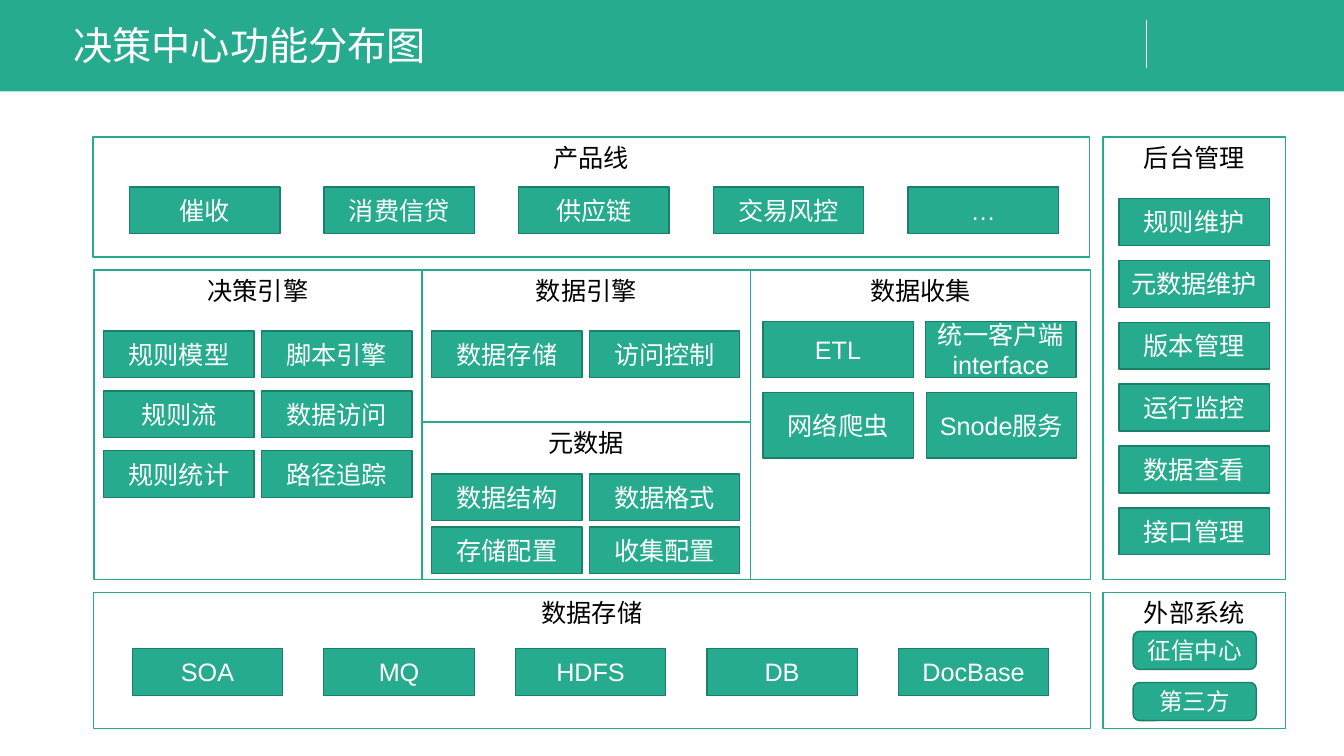
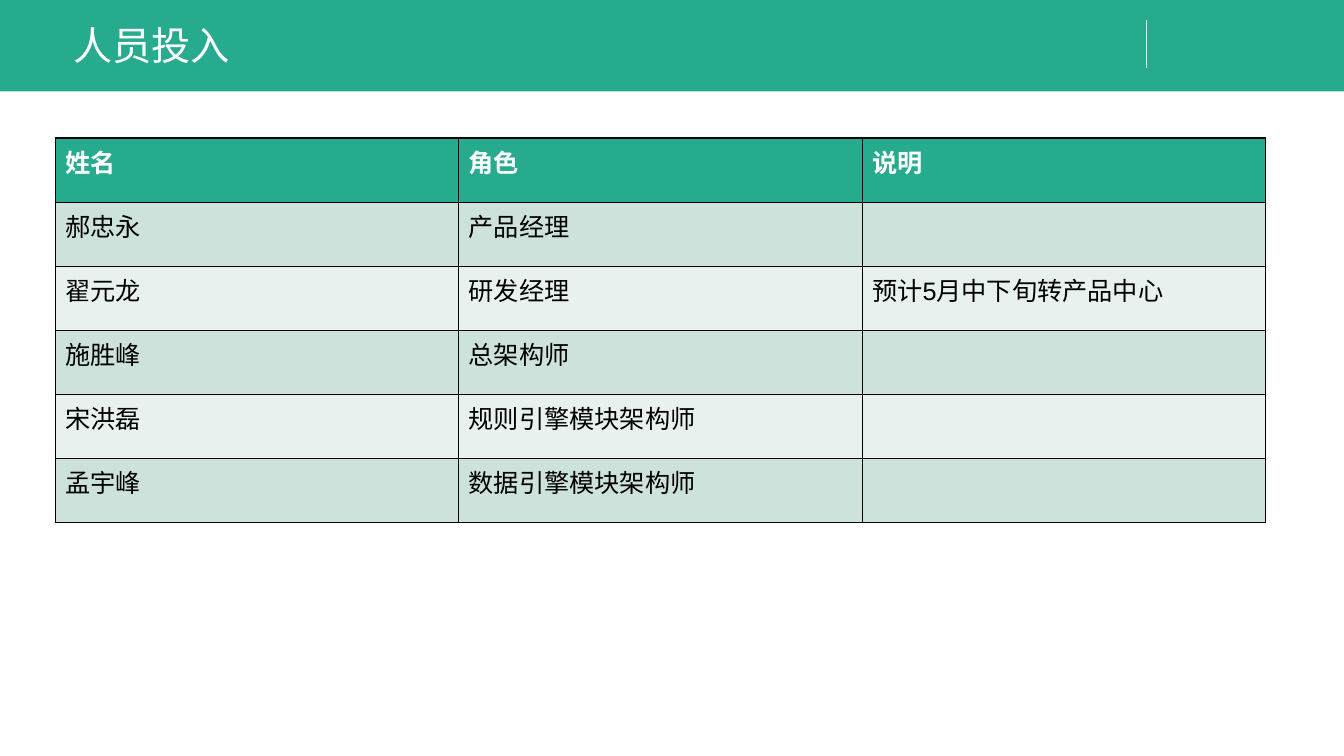
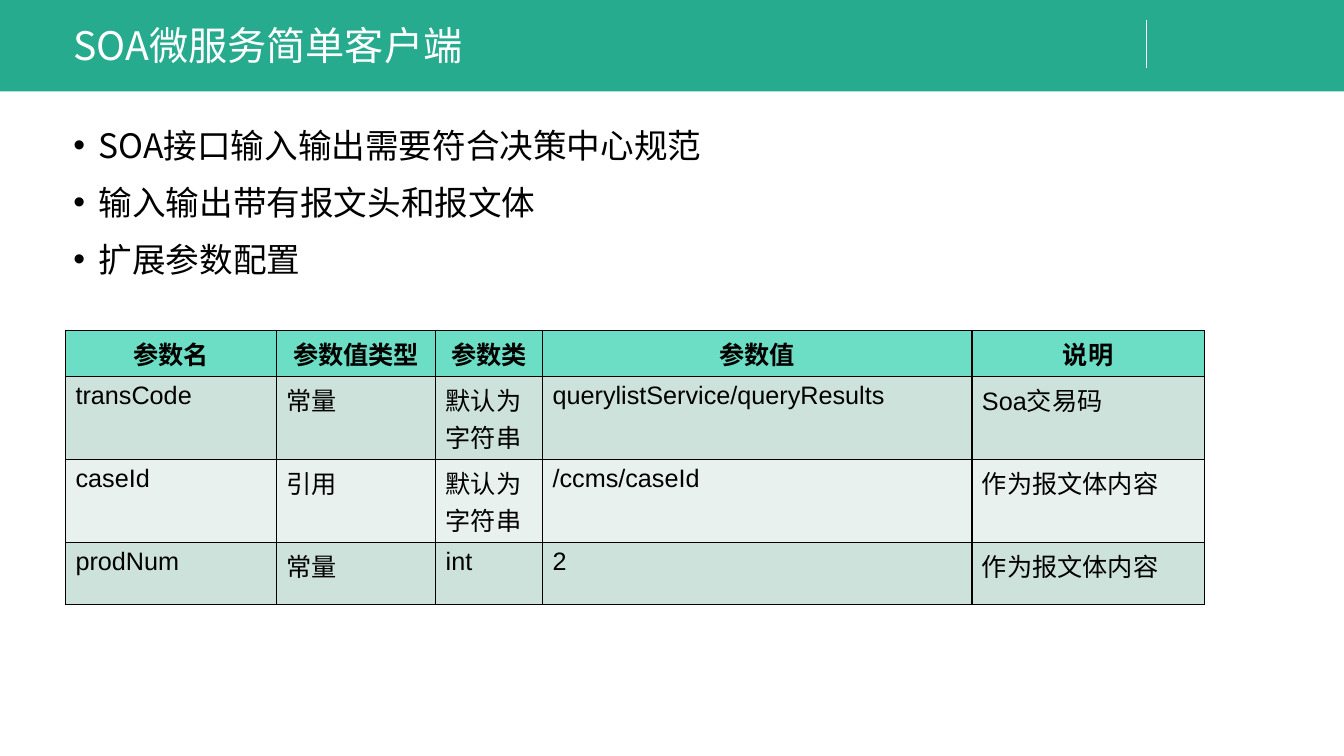
"""Build three slides on a decision centre: function map, staffing and SOA client."""
import pptx
import pptx.dml.color
import pptx.enum.shapes
import pptx.enum.text
import pptx.oxml
import pptx.util

Pt = pptx.util.Pt
RGBColor = pptx.dml.color.RGBColor
SHAPE = pptx.enum.shapes.MSO_SHAPE
ANCHOR = pptx.enum.text.MSO_ANCHOR
ALIGN = pptx.enum.text.PP_ALIGN

GREEN = RGBColor(0x26, 0xAB, 0x8E)
DARK_GREEN = RGBColor(0x1C, 0x7F, 0x69)
MINT = RGBColor(0x6B, 0xDE, 0xC5)
ROW_DARK = RGBColor(0xCD, 0xE2, 0xDB)
ROW_LIGHT = RGBColor(0xE8, 0xF1, 0xEE)
WHITE = RGBColor(0xFF, 0xFF, 0xFF)
BLACK = RGBColor(0, 0, 0)
HEADING_FONT = "Noto Sans CJK SC"
BODY_FONT = "Arial"
DRAWING = 'xmlns:a="http://schemas.openxmlformats.org/drawingml/2006/main"'


def write(frame, text, size, color, font=BODY_FONT, align=ALIGN.LEFT, bold=False):
    """Fill a text frame, one paragraph per line of text."""
    for number, line in enumerate(text.split("\n")):
        para = frame.paragraphs[0] if number == 0 else frame.add_paragraph()
        para.alignment = align
        span = para.add_run()
        span.text = line
        span.font.name = font
        span.font.size = Pt(size)
        span.font.bold = bold
        span.font.color.rgb = color
        if font == HEADING_FONT:
            span.font._element.append(pptx.oxml.parse_xml(f'<a:ea {DRAWING} typeface="{font}"/>'))


def add_table(page, left, top, widths, heights, rows, head_fill, head_color, head_align, head_anchor):
    """Add a bordered table with a coloured heading row and banded rows."""
    table = page.shapes.add_table(
        len(rows), len(widths), Pt(left), Pt(top), Pt(sum(widths)), Pt(sum(heights))
    ).table
    for column, width in zip(table.columns, widths):
        column.width = Pt(width)
    for row_number, (labels, height) in enumerate(zip(rows, heights)):
        table.rows[row_number].height = Pt(height)
        head = row_number == 0
        for column_number, label in enumerate(labels):
            cell = table.cell(row_number, column_number)
            for side in ("lnL", "lnR", "lnT", "lnB"):
                cell._tc.get_or_add_tcPr().append(pptx.oxml.parse_xml(
                    f'<a:{side} {DRAWING} w="12700"><a:solidFill>'
                    f'<a:srgbClr val="{BLACK}"/></a:solidFill></a:{side}>'
                ))
            cell.fill.solid()
            cell.fill.fore_color.rgb = head_fill if head else (ROW_LIGHT, ROW_DARK)[row_number % 2]
            cell.vertical_anchor = head_anchor if head else ANCHOR.TOP
            if label:
                write(cell.text_frame, label, 18, head_color if head else BLACK,
                      align=head_align if head else ALIGN.LEFT, bold=head)


deck = pptx.Presentation()
deck.slide_width = Pt(960)
deck.slide_height = Pt(540)

pages = []
for title in ("决策中心功能分布图", "人员投入", "SOA微服务简单客户端"):
    page = deck.slides.add_slide(deck.slide_layouts[6])
    pages.append(page)
    band = page.shapes.add_shape(SHAPE.RECTANGLE, 0, 0, deck.slide_width, Pt(65.3))
    band.shadow.inherit = False
    band.fill.solid()
    band.fill.fore_color.rgb = GREEN
    band.line.fill.background()
    divider = page.shapes.add_connector(
        pptx.enum.shapes.MSO_CONNECTOR.STRAIGHT, Pt(818.8), Pt(14.3), Pt(818.8), Pt(48.4))
    divider.line.color.rgb = WHITE
    divider.line.width = Pt(0.5)
    divider._element.spPr.append(pptx.oxml.parse_xml(f"<a:effectLst {DRAWING}/>"))
    title_box = page.shapes.add_textbox(Pt(45.4), Pt(6.6), Pt(689), Pt(51))
    title_box.text_frame.word_wrap = True
    title_box.text_frame.vertical_anchor = ANCHOR.MIDDLE
    write(title_box.text_frame, title, 28, WHITE, HEADING_FONT)

map_page, staff_page, client_page = pages

panels = [
    ("后台管理", 788, 98, 130.2, 316),
    ("数据存储", 66.8, 423.2, 712, 97),
    ("产品线", 66.4, 98, 712, 85.7),
    ("决策引擎", 67, 192.9, 234.5, 221.1),
    ("数据引擎", 301.5, 192.9, 234.7, 221.1),
    ("元数据", 301.5, 301.5, 234.7, 112.5),
    ("数据收集", 536.2, 192.9, 242.6, 221.1),
    ("外部系统", 788, 423.2, 130.2, 97),
]
TILE = (SHAPE.RECTANGLE, 107.5, 33.5, 18)
PILL = (SHAPE.ROUNDED_RECTANGLE, 88, 27.2, 16.8)
grids = [
    (TILE, 799.2, 141.8, 1, 0, 44.2,
     ["规则维护", "元数据维护", "版本管理", "运行监控", "数据查看", "接口管理"]),
    (TILE, 92.5, 133.5, 5, 139, 0, ["催收", "消费信贷", "供应链", "交易风控", "…"]),
    (TILE, 94.5, 463.2, 5, 136.8, 0, ["SOA", "MQ", "HDFS", "DB", "DocBase"]),
    (TILE, 74.1, 236.4, 2, 112.7, 42.8,
     ["规则模型", "脚本引擎", "规则流", "数据访问", "规则统计", "路径追踪"]),
    (TILE, 308.3, 236.4, 2, 112.7, 0, ["数据存储", "访问控制"]),
    (TILE, 308.3, 338.5, 2, 112.7, 37.9, ["数据结构", "数据格式", "存储配置", "收集配置"]),
    ((SHAPE.RECTANGLE, 107.5, 40.2, 18), 544.9, 229.6, 2, 116.3, 0, ["ETL", "统一客户端\ninterface"]),
    ((SHAPE.RECTANGLE, 107.5, 46.5, 18), 544.9, 280.6, 2, 116.8, 0, ["网络爬虫", "Snode服务"]),
    (PILL, 809.4, 451, 1, 0, 36.5, ["征信中心", "第三方"]),
]

boxes = [(label, SHAPE.RECTANGLE, left, top, width, height, 18, WHITE, GREEN, BLACK, ANCHOR.TOP)
         for label, left, top, width, height in panels]
for (kind, width, height, size), left, top, columns, step_x, step_y, labels in grids:
    for number, label in enumerate(labels):
        row, column = divmod(number, columns)
        boxes.append((label, kind, left + column * step_x, top + row * step_y, width, height,
                      size, GREEN, DARK_GREEN, WHITE, ANCHOR.MIDDLE))

for label, kind, left, top, width, height, size, fill, outline, color, anchor in boxes:
    box = map_page.shapes.add_shape(kind, Pt(left), Pt(top), Pt(width), Pt(height))
    box.shadow.inherit = False
    box.fill.solid()
    box.fill.fore_color.rgb = fill
    box.line.color.rgb = outline
    box.line.width = Pt(1)
    box.text_frame.word_wrap = True
    box.text_frame.vertical_anchor = anchor
    write(box.text_frame, label, size, color, align=ALIGN.CENTER)

staff = [
    ("姓名", "角色", "说明"),
    ("郝忠永", "产品经理", ""),
    ("翟元龙", "研发经理", "预计5月中下旬转产品中心"),
    ("施胜峰", "总架构师", ""),
    ("宋洪磊", "规则引擎模块架构师", ""),
    ("孟宇峰", "数据引擎模块架构师", ""),
]
add_table(staff_page, 39.4, 98.6, [288.2] * 3, [45.8] * 6, staff, GREEN, WHITE, ALIGN.LEFT, ANCHOR.TOP)

points_box = client_page.shapes.add_textbox(Pt(45.4), Pt(85.7), Pt(869), Pt(400))
points_box.text_frame.word_wrap = True
write(points_box.text_frame, "SOA接口输入输出需要符合决策中心规范\n输入输出带有报文头和报文体\n扩展参数配置",
      24, BLACK, HEADING_FONT)
for para in points_box.text_frame.paragraphs:
    para.space_after = Pt(12)
    properties = para._p.get_or_add_pPr()
    properties.set("marL", str(Pt(18)))
    properties.set("indent", str(-Pt(18)))
    properties.append(pptx.oxml.parse_xml(f'<a:buFont {DRAWING} typeface="{BODY_FONT}"/>'))
    properties.append(pptx.oxml.parse_xml(f'<a:buChar {DRAWING} char="•"/>'))

parameters = [
    ("参数名", "参数值类型", "参数类", "参数值", "说明"),
    ("transCode", "常量", "默认为字符串", "querylistService/queryResults", "Soa交易码"),
    ("caseId", "引用", "默认为字符串", "/ccms/caseId", "作为报文体内容"),
    ("prodNum", "常量", "int", "2", "作为报文体内容"),
]
add_table(client_page, 46.8, 236, [150.8, 113.6, 76.4, 306.7, 166.1], [32.9, 59.3, 59.3, 44.2],
          parameters, MINT, BLACK, ALIGN.CENTER, ANCHOR.MIDDLE)

deck.save("out.pptx")
